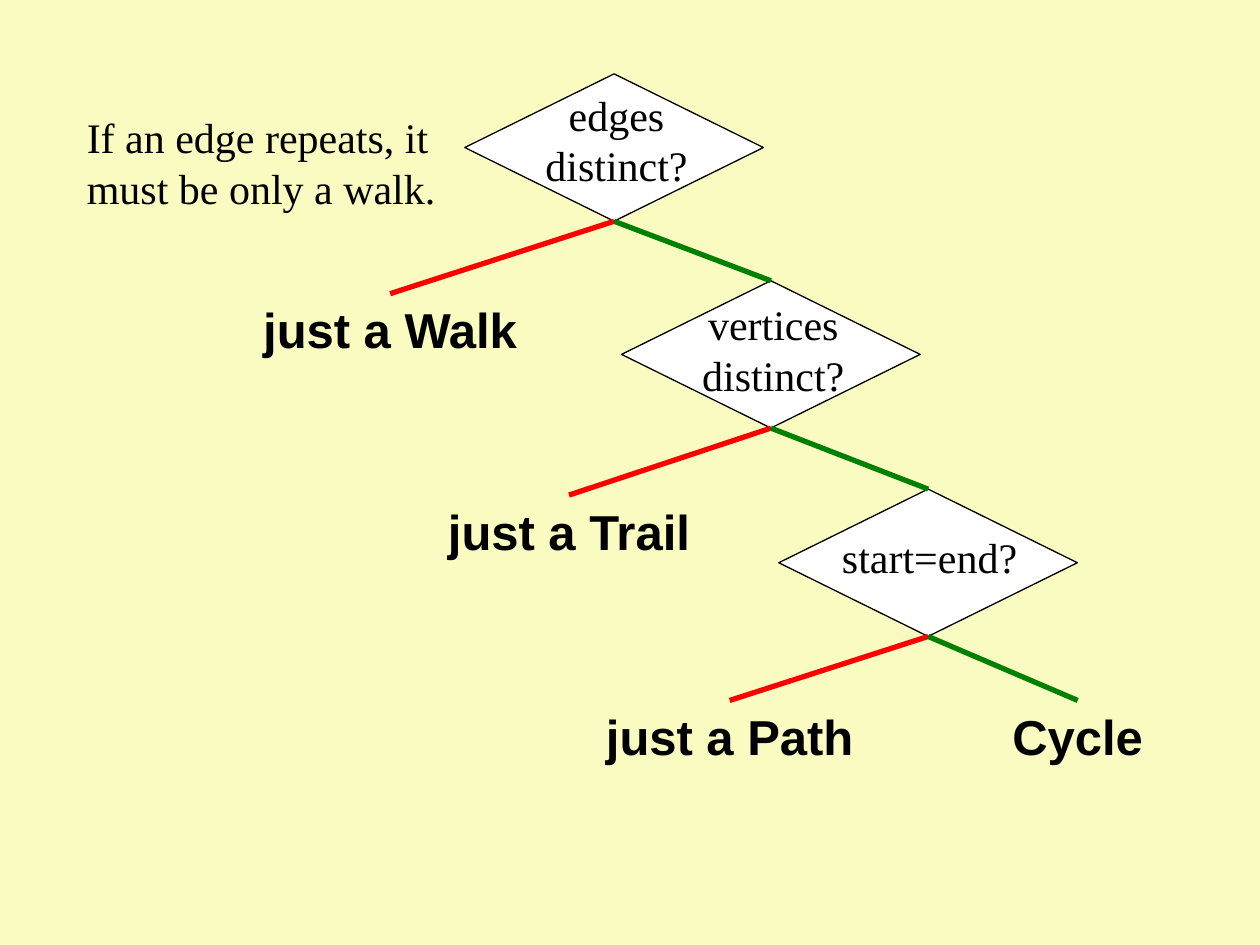
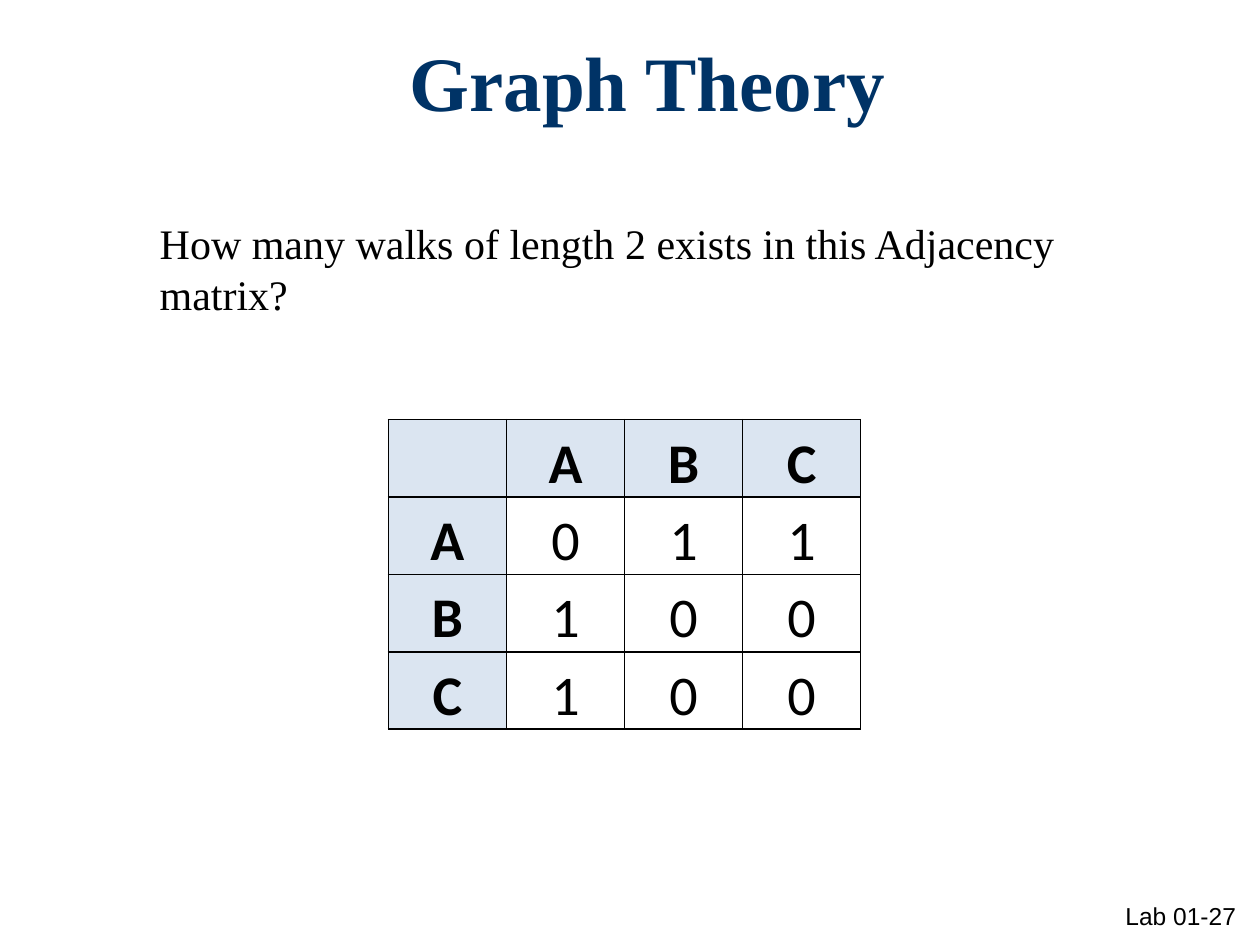
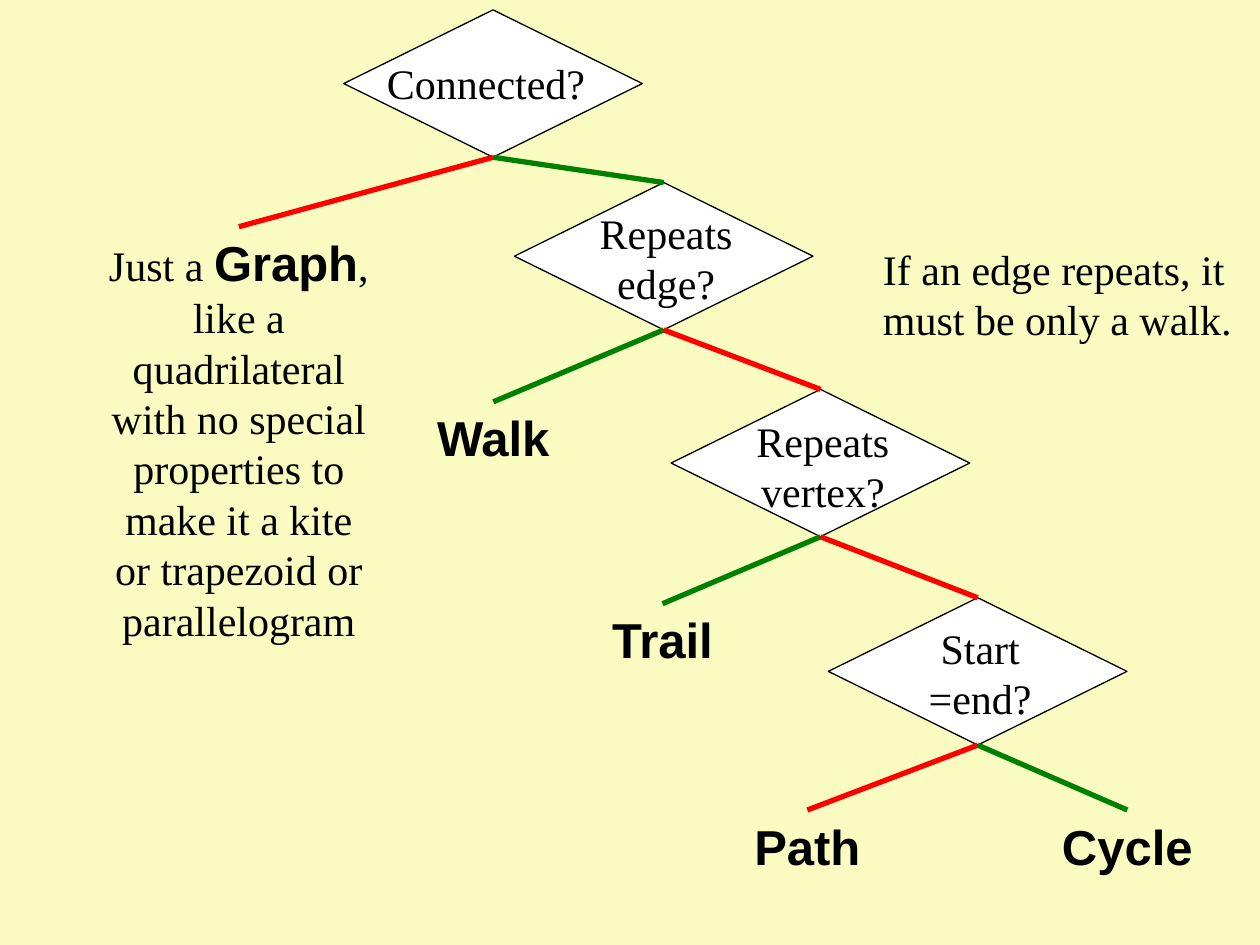
from dataclasses import dataclass

from lxml import etree
from pptx import Presentation
from pptx.dml.color import RGBColor
from pptx.enum.shapes import MSO_CONNECTOR, MSO_SHAPE
from pptx.enum.text import MSO_ANCHOR, MSO_AUTO_SIZE, PP_ALIGN
from pptx.oxml.ns import qn
from pptx.util import Cm, Pt

CENTER, LEFT, RIGHT = PP_ALIGN.CENTER, PP_ALIGN.LEFT, PP_ALIGN.RIGHT
MIDDLE = MSO_ANCHOR.MIDDLE
GROW, FIXED = MSO_AUTO_SIZE.SHAPE_TO_FIT_TEXT, MSO_AUTO_SIZE.NONE
STRAIGHT = MSO_CONNECTOR.STRAIGHT
DIAMOND = MSO_SHAPE.DIAMOND
TOP_SITE, BOTTOM_SITE = 0, 2


@dataclass(frozen=True)
class Style:
    """Font, size, weight and colour of a run."""
    font: str
    size: float
    bold: bool = False
    color: str = "000000"


@dataclass(frozen=True)
class Theme:
    """Colours and type styles shared by the slides."""
    cream: str = "FAFBC1"
    white: str = "FFFFFF"
    black: str = "000000"
    yes: str = "008000"
    no: str = "FF0000"
    header: str = "DBE5F1"
    body: Style = Style("Times New Roman", 24)
    leaf: Style = Style("Arial", 28, True)
    title: Style = Style("Times New Roman", 44, True, "003366")
    footer: Style = Style("Arial", 14)
    head_cell: Style = Style("Calibri", 32, True)
    cell: Style = Style("Calibri", 32)


@dataclass(frozen=True)
class Question:
    """A decision diamond, its label offset, and the colours of its branches."""
    lines: tuple
    left: float
    top: float
    nudge: tuple
    left_color: str
    right_color: str


THEME = Theme()
DIAMOND_W, DIAMOND_H = 6.02, 2.97
LINE_H, LABEL_PAD = 1.04, 0.25
LEAF_H = 1.45
EDGE_NOTE = "If an edge repeats, it must be only a walk."


def rgb(color):
    """Return a colour object for a hex string."""
    return RGBColor.from_string(color)


def add_run(p, text, style):
    """Add one styled run to a paragraph."""
    r = p.add_run()
    r.text = text
    r.font.name, r.font.size, r.font.bold = style.font, Pt(style.size), style.bold
    r.font.color.rgb = rgb(style.color)


def add_text(shapes, box, paragraphs, align=CENTER, autosize=GROW):
    """Add a text box whose paragraphs are lists of (text, style) runs."""
    sp = shapes.add_textbox(*map(Cm, box))
    tf = sp.text_frame
    tf.word_wrap, tf.auto_size = True, autosize
    for i, runs in enumerate(paragraphs):
        p = tf.add_paragraph() if i else tf.paragraphs[0]
        p.alignment = align
        for text, style in runs:
            add_run(p, text, style)
    return sp


def add_leaf(s, text, left, top, width):
    """Add the bold name of an outcome."""
    return add_text(s.shapes, (left, top, width, LEAF_H), [[(text, THEME.leaf)]])


def add_note(s, text, left, top, width):
    """Add two lines of left-aligned body text."""
    add_text(s.shapes, (left, top, width, 2.31), [[(text, THEME.body)]], LEFT)


def add_question(s, q):
    """Add a diamond grouped with its label and return the diamond."""
    shapes = s.shapes.add_group_shape().shapes
    sp = shapes.add_shape(DIAMOND, *map(Cm, (q.left, q.top, DIAMOND_W, DIAMOND_H)))
    sp.shadow.inherit = False
    sp.fill.solid()
    sp.fill.fore_color.rgb = rgb(THEME.white)
    sp.line.color.rgb = rgb(THEME.black)
    sp.line.width = Pt(0.75)
    width = 4.8 if len(q.lines) == 1 else 4.45
    height = len(q.lines) * LINE_H + LABEL_PAD
    left = q.left + (DIAMOND_W - width) / 2 + q.nudge[0]
    top = q.top + (DIAMOND_H - height) / 2 + q.nudge[1]
    add_text(shapes, (left, top, width, height), [[(t, THEME.body)] for t in q.lines])
    return sp


def add_branch(s, parent, child, color):
    """Join the bottom of a diamond to the top of the next shape."""
    line = s.shapes.add_connector(STRAIGHT, 0, 0, 0, 0)
    line.begin_connect(parent, BOTTOM_SITE)
    line.end_connect(child, TOP_SITE)
    line.line.color.rgb = rgb(color)
    line.line.width = Pt(3)
    etree.SubElement(line._element.spPr, qn("a:effectLst"))


def add_tree(s, questions, left_leaves, last_leaf):
    """Draw a chain of questions with an outcome to the left of each."""
    diamonds = [add_question(s, q) for q in questions]
    for q, sp, leaf, following in zip(questions, diamonds, left_leaves,
                                      diamonds[1:] + [last_leaf]):
        add_branch(s, sp, leaf, q.left_color)
        add_branch(s, sp, following, q.right_color)


def add_tree_slide(prs):
    """Add an empty slide with the cream background."""
    s = prs.slides.add_slide(prs.slide_layouts[6])
    s.background.fill.solid()
    s.background.fill.fore_color.rgb = rgb(THEME.cream)
    return s


def set_title(s, text):
    """Place and format the slide title."""
    sp = s.shapes.title
    sp.left, sp.top, sp.width, sp.height = map(Cm, (1.27, 0.03, 23.57, 3.18))
    tf = sp.text_frame
    tf.vertical_anchor = MIDDLE
    p = tf.paragraphs[0]
    p.alignment = CENTER
    add_run(p, text, THEME.title)


def add_borders(cell):
    """Draw a thin black line on each side of a cell."""
    tc_pr = cell._tc.get_or_add_tcPr()
    for side in "LRTB":
        ln = etree.SubElement(tc_pr, qn(f"a:ln{side}"), w=str(Pt(1)))
        fill = etree.SubElement(ln, qn("a:solidFill"))
        etree.SubElement(fill, qn("a:srgbClr"), val=THEME.black)


def add_matrix(s, names, values, left, top, col_w, row_h):
    """Add an adjacency matrix with shaded row and column names."""
    rows = [["", *names]] + [[n, *row] for n, row in zip(names, values)]
    n = len(rows)
    box = map(Cm, (left, top, col_w * n, row_h * n))
    table = s.shapes.add_table(n, n, *box).table
    table.first_row = table.horz_banding = False
    for i, row in enumerate(rows):
        table.rows[i].height = Cm(row_h)
        table.columns[i].width = Cm(col_w)
        for j, value in enumerate(row):
            cell = table.cell(i, j)
            is_head = i == 0 or j == 0
            cell.margin_left = cell.margin_right = Cm(0.18)
            cell.margin_top = cell.margin_bottom = 0
            add_borders(cell)
            if is_head:
                cell.fill.solid()
                cell.fill.fore_color.rgb = rgb(THEME.header)
            else:
                cell.fill.background()
            p = cell.text_frame.paragraphs[0]
            p.alignment, p.line_spacing = CENTER, 1.15
            if value != "":
                add_run(p, str(value), THEME.head_cell if is_head else THEME.cell)


def build_walk_tree(prs):
    """Build the tree that sorts walks, trails, paths and cycles."""
    s = add_tree_slide(prs)
    no, yes = THEME.no, THEME.yes
    questions = [
        Question(("edges", "distinct?"), 9.37, 1.49, (0.05, -0.13), no, yes),
        Question(("vertices", "distinct?"), 12.53, 5.66, (0.05, -0.08), no, yes),
        Question(("start=end?",), 15.7, 9.86, (0.03, -0.11), no, yes),
    ]
    leaves = [
        add_leaf(s, "just a Walk", 4.55, 5.92, 6.63),
        add_leaf(s, "just a Trail", 8.36, 9.98, 6.22),
        add_leaf(s, "just a Path", 11.94, 14.12, 5.54),
    ]
    add_tree(s, questions, leaves, add_leaf(s, "Cycle", 19.5, 14.12, 4.45))
    add_note(s, EDGE_NOTE, 1.5, 2.13, 7.85)


def build_matrix_slide(prs):
    """Build the question about an adjacency matrix."""
    s = prs.slides.add_slide(prs.slide_layouts[5])
    set_title(s, "Graph Theory")
    add_text(s.shapes, (19.89, 18.03, 5.28, 1.27),
             [[("Lab 01-27", THEME.footer)]], RIGHT, FIXED)
    add_note(s, "How many walks of length 2 exists in this Adjacency matrix?",
             2.97, 4.27, 20.52)
    add_matrix(s, "ABC", [(0, 1, 1), (1, 0, 0), (1, 0, 0)], 7.83, 8.46, 2.38, 1.56)


def build_graph_tree(prs):
    """Build the tree that starts from connected graphs."""
    s = add_tree_slide(prs)
    no, yes = THEME.no, THEME.yes
    questions = [
        Question(("Connected?",), 6.93, 0.2, (-0.14, -0.01), no, yes),
        Question(("Repeats", "edge?"), 10.37, 3.68, (0.05, 0.05), yes, no),
        Question(("Repeats", "vertex?"), 13.53, 7.85, (0.05, 0.08), yes, no),
        Question(("Start", "=end?"), 16.7, 12.05, (0.05, 0.05), no, yes),
    ]
    graph = add_text(s.shapes, (1.88, 4.57, 5.87, 8.64), [
        [("Just a ", THEME.body), ("Graph", THEME.leaf), (",", THEME.body)],
        [("like a quadrilateral with no special properties to make it "
          "a kite or trapezoid or parallelogram", THEME.body)],
    ])
    leaves = [
        graph,
        add_leaf(s, "Walk", 7.72, 8.1, 4.45),
        add_leaf(s, "Trail", 11.13, 12.17, 4.45),
        add_leaf(s, "Path", 14.05, 16.33, 4.45),
    ]
    add_tree(s, questions, leaves, add_leaf(s, "Cycle", 20.5, 16.33, 4.45))
    add_note(s, EDGE_NOTE, 17.55, 4.78, 7.85)


def main():
    """Build the three slides and save them."""
    prs = Presentation()
    prs.slide_width, prs.slide_height = Cm(25.4), Cm(19.05)
    build_walk_tree(prs)
    build_matrix_slide(prs)
    build_graph_tree(prs)
    prs.save("out.pptx")


if __name__ == "__main__":
    main()
